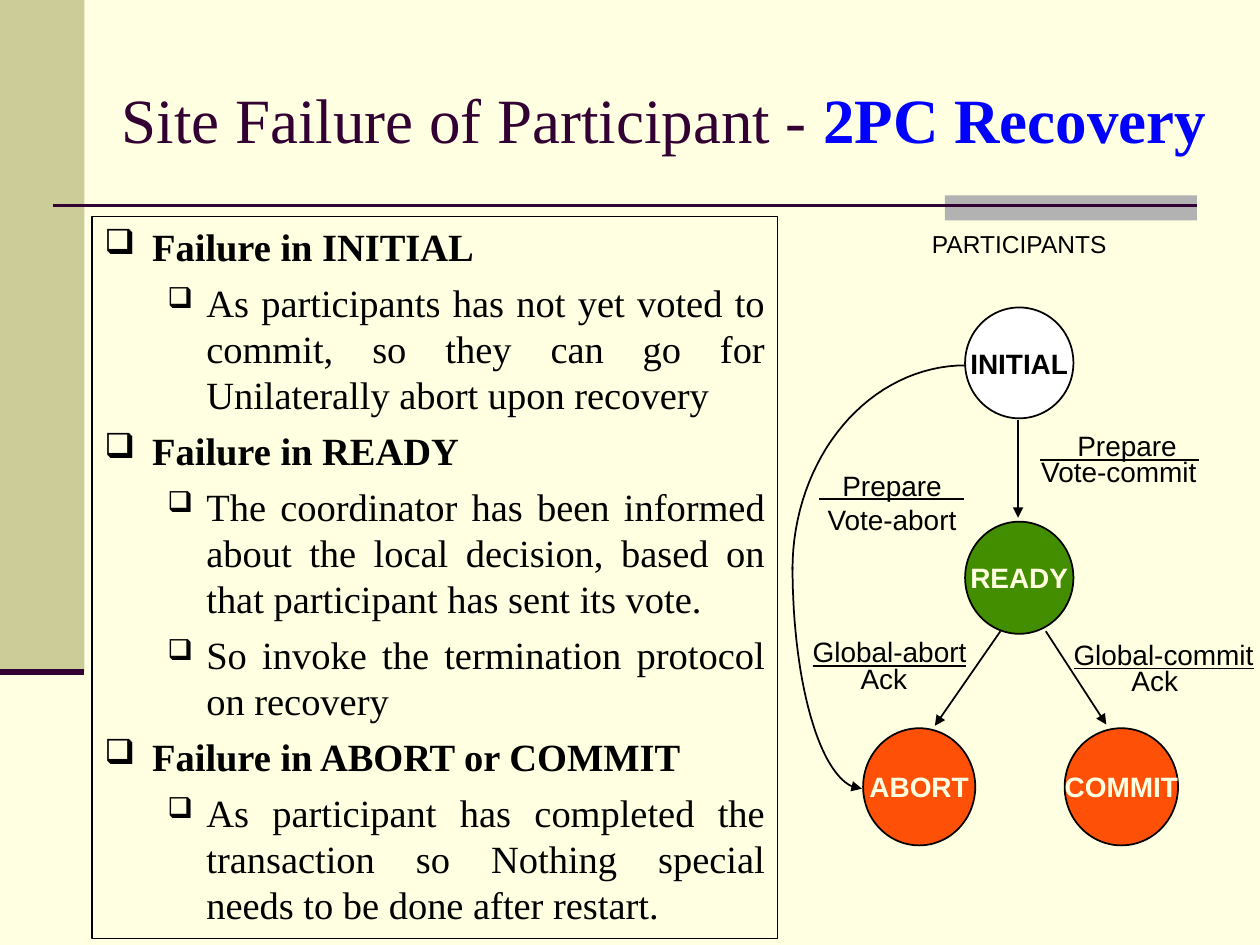
"""Build the slide on participant site failure in 2PC recovery."""
import math
import pptx
import pptx.util
import pptx.dml.color
import pptx.enum.shapes
import pptx.enum.text
import pptx.oxml
import pptx.oxml.ns
from lxml import etree

SERIF, SANS = "Times New Roman", "Arial"
INK, PLUM, CREAM = "000000", "330033", "FFFFE1"
TITLE = [("Site Failure of Participant - ", PLUM, False),
         ("2PC Recovery", "0000FF", True)]
BODY = [
    (0, "Failure in INITIAL"),
    (1, "As participants has not yet voted to commit, so they can go for "
        "Unilaterally abort upon recovery"),
    (0, "Failure in READY"),
    (1, "The coordinator has been informed about the local decision, based on "
        "that participant has sent its vote."),
    (1, "So invoke the termination protocol on recovery"),
    (0, "Failure in ABORT or COMMIT"),
    (1, "As participant has completed the transaction so Nothing special "
        "needs to be done after restart."),
]
LEVELS = [(0.38, 0.38, 90), (0.81, 0.31, 75)]
BANDS = [((0, 0, 0.67, 5.33), "CCCC99"), ((7.5, 1.55, 2, 0.2), "B2B2B2")]
RULES = [((0.42, 1.63, 9.5, 1.63), 1.5), ((0, 5.33, 0.67, 5.33), 3.5)]
STATES = [
    ("INITIAL", (7.66, 2.44, 0.86, 0.88), "FFFFFF", INK),
    ("READY", (7.66, 4.14, 0.86, 0.89), "438E00", CREAM),
    ("ABORT", (6.85, 5.78, 0.89, 0.93), "FF5008", CREAM),
    ("COMMIT", (8.45, 5.78, 0.9, 0.93), "FF5008", CREAM),
]
ARROWS = [(8.08, 3.33, 8.08, 4.11), (7.94, 5.01, 7.42, 5.76),
          (8.3, 5.01, 8.78, 5.75)]
BARS = [(8.25, 3.65, 9.52, 3.65), (6.5, 3.96, 7.65, 3.96)]
CURVES = [(7.66, 4.52, 1.37, 1.62, False), (6.84, 4.5, 0.55, -1.76, True)]
LABELS = [
    (["PARTICIPANTS"], (7.28, 1.77, 1.62, 0.33), 14, False),
    (["Prepare"], (8.45, 3.35, 0.99, 0.36), 16, False),
    (["Vote-commit"], (8.16, 3.56, 1.44, 0.36), 16, False),
    (["Prepare", "Vote-abort"], (6.4, 3.67, 1.36, 0.63), 16, False),
    (["Global-abort"], (6.35, 4.99, 1.42, 0.36), 16, True),
    (["Ack"], (6.73, 5.2, 0.57, 0.36), 16, False),
    (["Global-commit"], (8.42, 5.01, 1.63, 0.36), 16, True),
    (["Ack"], (8.88, 5.22, 0.57, 0.36), 16, False),
]

inch, pt = pptx.util.Inches, pptx.util.Pt
kinds = pptx.enum.shapes
align = pptx.enum.text.PP_ALIGN
middle = pptx.enum.text.MSO_ANCHOR.MIDDLE


def rgb(code):
    return pptx.dml.color.RGBColor.from_string(code)


def add(node, tag, **attrs):
    return etree.SubElement(node, pptx.oxml.ns.qn(tag), attrs)


def style(run, face, size, color, bold=False, under=False):
    font = run.font
    font.name, font.size, font.bold = face, pt(size), bold
    font.color.rgb = rgb(color)
    if under:
        font.underline = True


def stroke(shape, color, width, arrow=False):
    shape.line.color.rgb = rgb(color)
    shape.line.width = pt(width)
    if arrow:
        add(shape.line._get_or_add_ln(), "a:tailEnd", type="triangle")


def draw(shapes, kind, box, fill):
    shape = shapes.add_shape(kind, *map(inch, box))
    shape.shadow.inherit = False
    shape.fill.solid()
    shape.fill.fore_color.rgb = rgb(fill)
    shape.line.fill.background()
    return shape


def join(shapes, ends, color, width, arrow=False):
    line = shapes.add_connector(kinds.MSO_CONNECTOR.STRAIGHT, *map(inch, ends))
    stroke(line, color, width, arrow)
    add(line._element.spPr, "a:effectLst")


def bend(shapes, midx, midy, radx, rady, arrow):
    turns = [math.pi / 2 * i / 32 for i in range(33)]
    dots = [(inch(midx - radx * math.cos(t)), inch(midy - rady * math.sin(t)))
            for t in turns]
    pen = shapes.build_freeform(*dots[0])
    pen.add_line_segments(dots[1:], close=False)
    curve = pen.convert_to_shape()
    curve.shadow.inherit = False
    curve.fill.background()
    stroke(curve, INK, 1, arrow)


def state(shapes, name, box, fill, color):
    shape = draw(shapes, kinds.MSO_SHAPE.OVAL, box, fill)
    stroke(shape, INK, 1)
    frame = shape.text_frame
    frame.text = name
    frame.word_wrap = False
    frame.vertical_anchor = middle
    frame.margin_left = frame.margin_right = 0
    para = frame.paragraphs[0]
    para.alignment = align.CENTER
    style(para.runs[0], SANS, 16, color, True)


def label(shapes, lines, box, size, under):
    frame = shapes.add_textbox(*map(inch, box)).text_frame
    frame.text = "\n".join(lines)
    frame.word_wrap = False
    for para in frame.paragraphs:
        para.alignment = align.CENTER
        style(para.runs[0], SANS, size, INK, under=under)


def body(shapes):
    box = shapes.add_textbox(*map(inch, (0.73, 1.72, 5.44, 5.73)))
    stroke(box, INK, 0.75)
    frame = box.text_frame
    frame.word_wrap = True
    for i, (level, text) in enumerate(BODY):
        para = frame.add_paragraph() if i else frame.paragraphs[0]
        para.text = text
        para.level = level
        para.alignment = align.JUSTIFY
        para.space_before = pt(5.5 if i else 0)
        left, hang, size = LEVELS[level]
        props = para._p.get_or_add_pPr()
        props.set("marL", str(inch(left)))
        props.set("indent", str(-inch(hang)))
        add(add(props, "a:buClr"), "a:srgbClr", val=INK)
        add(props, "a:buSzPct", val=str(size * 1000))
        add(props, "a:buChar", char="❑")
        style(para.runs[0], SERIF, 22, INK, level == 0)


def title(shapes):
    frame = shapes.add_textbox(*map(inch, (0.67, 0.56, 9.2, 0.81))).text_frame
    frame.word_wrap = True
    frame.vertical_anchor = middle
    para = frame.paragraphs[0]
    para.alignment = align.CENTER
    para.line_spacing = 0.97
    for text, color, bold in TITLE:
        run = para.add_run()
        run.text = text
        style(run, SERIF, 36, color, bold)


def main():
    deck = pptx.Presentation()
    deck.slide_width, deck.slide_height = inch(10), inch(7.5)
    slide = deck.slides.add_slide(deck.slide_layouts[6])
    slide.background.fill.solid()
    slide.background.fill.fore_color.rgb = rgb(CREAM)
    shapes = slide.shapes
    for box, fill in BANDS:
        draw(shapes, kinds.MSO_SHAPE.RECTANGLE, box, fill)
    for ends, width in RULES:
        join(shapes, ends, PLUM, width)
    body(shapes)
    for ends in ARROWS:
        join(shapes, ends, INK, 1, True)
    for ends in BARS:
        join(shapes, ends, INK, 1)
    for item in STATES:
        state(shapes, *item)
    for item in LABELS:
        label(shapes, *item)
    for item in CURVES:
        bend(shapes, *item)
    title(shapes)
    deck.save("out.pptx")


if __name__ == "__main__":
    main()
